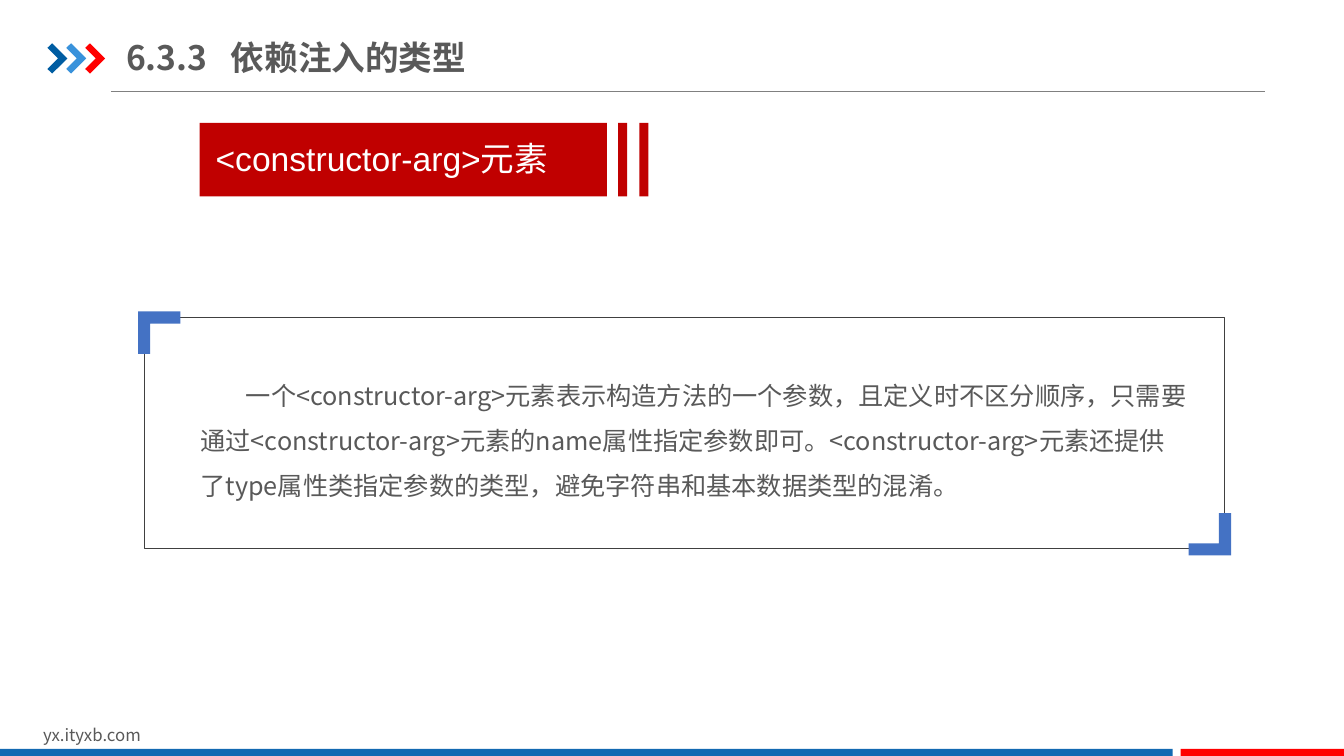
import pptx
import pptx.util
import pptx.dml.color
import pptx.enum.shapes
import pptx.enum.text
import pptx.oxml
import pptx.oxml.ns

SHAPE = pptx.enum.shapes.MSO_SHAPE
ANCHOR = pptx.enum.text.MSO_ANCHOR
ALIGN = pptx.enum.text.PP_ALIGN
FIT = pptx.enum.text.MSO_AUTO_SIZE
COLUMNS, ROWS = 133.33, 75
CJK = "Noto Sans CJK SC"
GREY, CRIMSON, RED = "595959", "C00000", "FF0000"

CHEVRONS = [(4.7, "005DA2"), (6.57, "3992DB"), (8.45, RED)]
CHEVRON_OUTLINE = [(0, 0.45), (0.48, 0), (1.98, 1.5), (0.48, 3), (0, 2.55), (1.05, 1.5)]
BRACKETS = [(13.7, 30.9, 0), (117.9, 50.9, 180)]
BRACKET_OUTLINE = [(0, 0), (4.2, 0), (4.2, 1.2), (1.2, 1.2), (1.2, 4.2), (0, 4.2)]
BARS = [
    (0, 74.3, 116.3, 0.9, "1369B2"),
    (117.1, 74.3, 16.3, 0.9, RED),
    (19.8, 12.2, 40.4, 7.3, CRIMSON),
    (61.3, 12.2, 0.9, 7.3, CRIMSON),
    (63.4, 12.2, 0.9, 7.3, CRIMSON),
]
RULE = (11, 125.5, 9.1)
FRAME = (14.3, 31.5, 107.1, 22.9)
BANNER_BOX = (20.4, 13.2, 39.2, 5)

TITLE = "6.3.3\t依赖注入的类型"
TITLE_TAB = 10.4
BANNER = "<constructor-arg>元素"
FOOTER = "yx.ityxb.com"
EXPLANATION = (
    "一个<constructor-arg>元素表示构造方法的一个参数，且定义时不区分顺序，"
    "只需要通过<constructor-arg>元素的name属性指定参数即可。"
    "<constructor-arg>元素还提供了type属性类指定参数的类型，"
    "避免字符串和基本数据类型的混淆。"
)
EXPLANATION_INDENT = 4.5

deck = pptx.Presentation()
deck.slide_width = pptx.util.Inches(13.33)
deck.slide_height = pptx.util.Inches(7.5)
CELL = deck.slide_height / ROWS
slide = deck.slides.add_slide(deck.slide_layouts[6])


def cells(*lengths):
    """Turn grid lengths into slide units."""
    return [round(length * CELL) for length in lengths]


def colour(code):
    """Turn a hex string into a colour."""
    return pptx.dml.color.RGBColor.from_string(code)


def assign(target, formats):
    """Set each format value on the target."""
    for name, value in formats.items():
        setattr(target, name, value)


def paint(part, fill):
    """Give a part a flat fill without outline or shadow."""
    part.shadow.inherit = False
    part.fill.solid()
    part.fill.fore_color.rgb = colour(fill)
    part.line.fill.background()


def add_bar(left, top, width, height, fill):
    """Draw a filled rectangle."""
    bar = slide.shapes.add_shape(SHAPE.RECTANGLE, *cells(left, top, width, height))
    paint(bar, fill)
    return bar


def add_outline(left, top, outline, fill):
    """Draw a closed polygon from its corner points."""
    points = [tuple(cells(left + x, top + y)) for x, y in outline]
    builder = slide.shapes.build_freeform(*points[0], scale=1.0)
    builder.add_line_segments(points[1:], close=True)
    polygon = builder.convert_to_shape()
    paint(polygon, fill)
    return polygon


def write(box, text, font, frame_formats, paragraph_formats):
    """Write one formatted paragraph into a box."""
    ink, face = font.pop("ink"), font["name"]
    assign(box.text_frame, {"word_wrap": True, **frame_formats})
    paragraph = box.text_frame.paragraphs[0]
    assign(paragraph, paragraph_formats)
    run = paragraph.add_run()
    run.text = text
    run.font.color.rgb = colour(ink)
    assign(run.font, font)
    east_asian = pptx.oxml.parse_xml(
        f'<a:ea {pptx.oxml.ns.nsdecls("a")} typeface="{CJK if face == "Arial" else face}"/>'
    )
    run.font._element.append(east_asian)
    return paragraph


def add_text(area, text, font, frame_formats, paragraph_formats):
    """Add a text box with one paragraph."""
    box = slide.shapes.add_textbox(*cells(*area))
    return write(box, text, font, frame_formats, paragraph_formats)


def main():
    """Build the slide and save it."""
    start, end, level = RULE
    rule = slide.shapes.add_connector(
        pptx.enum.shapes.MSO_CONNECTOR.STRAIGHT, *cells(start, level, end, level)
    )
    rule.line.color.rgb = colour("808080")
    rule.line.width = pptx.util.Pt(0.5)
    rule._element.spPr.append(
        pptx.oxml.parse_xml(f'<a:effectLst {pptx.oxml.ns.nsdecls("a")}/>')
    )

    for left, fill in CHEVRONS:
        add_outline(left, 4.3, CHEVRON_OUTLINE, fill)
    for bar in BARS:
        add_bar(*bar)

    add_text(
        (3.3, 71.4, 31.8, 3), FOOTER,
        {"name": CJK, "size": pptx.util.Pt(12), "ink": GREY},
        {"auto_size": FIT.SHAPE_TO_FIT_TEXT}, {},
    )
    heading = add_text(
        (12.5, 2.9, 35.8, 5.5), TITLE,
        {"name": CJK, "size": pptx.util.Pt(24), "bold": True, "ink": GREY},
        {"margin_left": 0, "margin_right": 0, "vertical_anchor": ANCHOR.MIDDLE}, {},
    )
    heading._p.get_or_add_pPr().append(pptx.oxml.parse_xml(
        f'<a:tabLst {pptx.oxml.ns.nsdecls("a")}>'
        f'<a:tab pos="{cells(TITLE_TAB)[0]}" algn="l"/></a:tabLst>'
    ))
    write(
        add_bar(*BANNER_BOX, CRIMSON), BANNER,
        {"name": "Arial", "size": pptx.util.Pt(24), "ink": "FFFFFF"},
        {"vertical_anchor": ANCHOR.TOP, "auto_size": FIT.SHAPE_TO_FIT_TEXT},
        {"alignment": ALIGN.JUSTIFY},
    )
    explanation = add_text(
        (18.9, 35.7, 100, 15.3), EXPLANATION,
        {"name": CJK, "size": pptx.util.Pt(18), "ink": GREY},
        {}, {"line_spacing": 1.5},
    )
    explanation._p.get_or_add_pPr().set("indent", str(cells(EXPLANATION_INDENT)[0]))

    frame = slide.shapes.add_shape(SHAPE.ROUNDED_RECTANGLE, *cells(*FRAME))
    frame.adjustments[0] = 0
    frame.shadow.inherit = False
    frame.fill.background()
    frame.line.color.rgb = colour("404040")
    frame.line.width = pptx.util.Pt(0.25)
    for left, top, turn in BRACKETS:
        add_outline(left, top, BRACKET_OUTLINE, "4472C4").rotation = turn

    deck.save("out.pptx")


if __name__ == "__main__":
    main()
